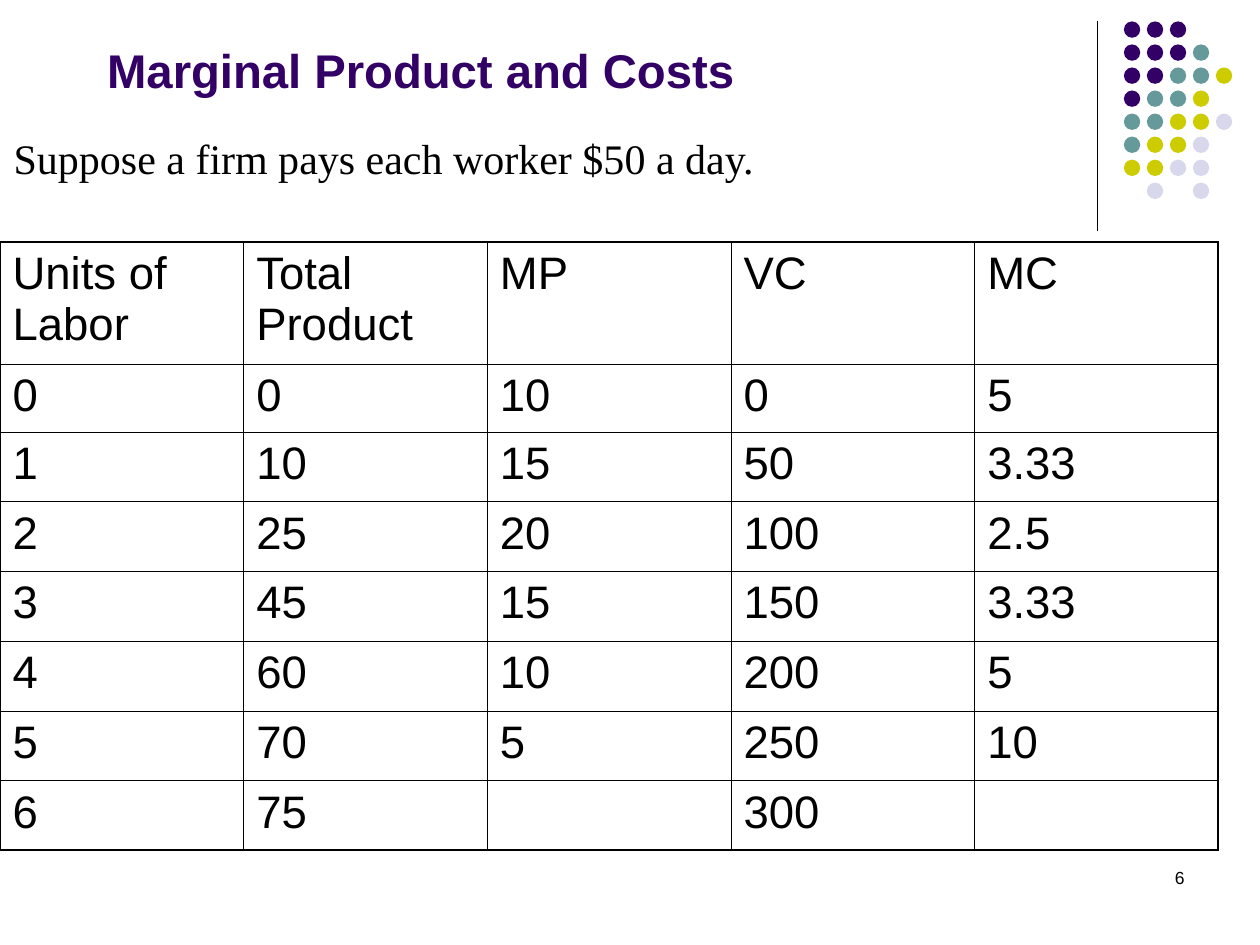
from lxml import etree
from pptx import Presentation
from pptx import util as u
from pptx.dml.color import RGBColor
from pptx.enum import shapes, text
from pptx.oxml import ns

TITLE = "Marginal Product and Costs"
PREMISE = "Suppose a firm pays each worker $50 a day."
PAGE_NUMBER = "6"
COSTS = [
    ("Units of Labor", "Total Product", "MP", "VC", "MC"),
    ("0", "0", "10", "0", "5"),
    ("1", "10", "15", "50", "3.33"),
    ("2", "25", "20", "100", "2.5"),
    ("3", "45", "15", "150", "3.33"),
    ("4", "60", "10", "200", "5"),
    ("5", "70", "5", "250", "10"),
    ("6", "75", "", "300", ""),
]
DOTS = ["PPP", "PPPT", "PPTTY", "PTTY", "TTYYL", "TYYL", "YYLL", " L L"]

BLACK = RGBColor(0x00, 0x00, 0x00)
PURPLE = RGBColor(0x33, 0x00, 0x66)
DOT_COLOURS = {
    "P": PURPLE,
    "T": RGBColor(0x66, 0x99, 0x99),
    "Y": RGBColor(0xCC, 0xCC, 0x00),
    "L": RGBColor(0xD8, 0xD8, 0xEC),
}

WIDTH, HEIGHT = u.Inches(10), u.Inches(7.5)
DOT_SIZE = u.Inches(0.13)
DOT_GRID_WIDTH, DOT_GRID_HEIGHT = u.Inches(0.73), u.Inches(1.28)
TABLE_TOP, TABLE_WIDTH, TABLE_HEIGHT = u.Inches(1.92), u.Inches(9.67), u.Inches(4.83)
HEADER_HEIGHT, FIRST_HEIGHT = u.Inches(0.97), u.Inches(0.54)
OUTER, INNER = u.Pt(1.08), u.Pt(0.45)


def write(frame, words, size, font="Arial", colour=BLACK, bold=False):
    para = frame.paragraphs[0]
    span = para.add_run()
    span.text = words
    span.font.size = u.Pt(size)
    span.font.name = font
    span.font.bold = bold
    span.font.color.rgb = colour
    return para


def draw_borders(cell, widths):
    properties = cell._tc.get_or_add_tcPr()
    for side, width in widths.items():
        line = etree.SubElement(properties, ns.qn("a:ln" + side), w=str(int(width)))
        fill = etree.SubElement(line, ns.qn("a:solidFill"))
        etree.SubElement(fill, ns.qn("a:srgbClr"), val=str(BLACK))


def add_ornament(page):
    rule = page.shapes.add_connector(
        shapes.MSO_CONNECTOR.STRAIGHT,
        u.Inches(8.71), u.Inches(0.17), u.Inches(8.71), u.Inches(1.83))
    rule.line.color.rgb = BLACK
    rule.line.width = u.Pt(0.75)
    etree.SubElement(rule._element.spPr, ns.qn("a:effectLst"))
    step_x = DOT_GRID_WIDTH / 4
    step_y = DOT_GRID_HEIGHT / (len(DOTS) - 1)
    for row, pattern in enumerate(DOTS):
        for column, key in enumerate(pattern):
            if key not in DOT_COLOURS:
                continue
            dot = page.shapes.add_shape(
                shapes.MSO_SHAPE.OVAL,
                int(u.Inches(8.92) + column * step_x),
                int(u.Inches(0.17) + row * step_y), DOT_SIZE, DOT_SIZE)
            dot.shadow.inherit = False
            dot.fill.solid()
            dot.fill.fore_color.rgb = DOT_COLOURS[key]
            dot.line.fill.background()


def add_title(page):
    title = page.shapes.title
    title.left, title.top = u.Inches(0.75), u.Inches(0.25)
    title.width, title.height = u.Inches(8.5), u.Inches(0.58)
    title.text_frame.vertical_anchor = text.MSO_ANCHOR.BOTTOM
    para = write(title.text_frame, TITLE, 27, colour=PURPLE, bold=True)
    para.alignment = text.PP_ALIGN.LEFT


def add_cost_table(page):
    rows, columns = len(COSTS), len(COSTS[0])
    table = page.shapes.add_table(
        rows, columns, 0, TABLE_TOP, TABLE_WIDTH, TABLE_HEIGHT).table
    table.first_row = table.horz_banding = False
    for column in table.columns:
        column.width = TABLE_WIDTH // columns
    other = (TABLE_HEIGHT - HEADER_HEIGHT - FIRST_HEIGHT) // (rows - 2)
    heights = [HEADER_HEIGHT, FIRST_HEIGHT] + [other] * (rows - 2)
    for r, (values, height) in enumerate(zip(COSTS, heights)):
        table.rows[r].height = height
        for c, value in enumerate(values):
            cell = table.cell(r, c)
            draw_borders(cell, {
                "L": OUTER if c == 0 else INNER,
                "R": OUTER if c == columns - 1 else INNER,
                "T": OUTER if r == 0 else INNER,
                "B": OUTER if r == rows - 1 else INNER,
            })
            cell.fill.background()
            if value:
                write(cell.text_frame, value, 26)


def main():
    deck = Presentation()
    deck.slide_width, deck.slide_height = WIDTH, HEIGHT
    page = deck.slides.add_slide(deck.slide_layouts[5])
    add_ornament(page)
    add_title(page)
    premise = page.shapes.add_textbox(
        u.Inches(0.01), u.Inches(1), u.Inches(6.16), u.Inches(0.5))
    premise.text_frame.word_wrap = False
    write(premise.text_frame, PREMISE, 24, font="Times New Roman")
    add_cost_table(page)
    number = page.shapes.add_textbox(
        u.Inches(7.17), u.Inches(6.83), u.Inches(2.33), u.Inches(0.5))
    number.text_frame.word_wrap = True
    write(number.text_frame, PAGE_NUMBER, 10).alignment = text.PP_ALIGN.RIGHT
    deck.save("out.pptx")


if __name__ == "__main__":
    main()
